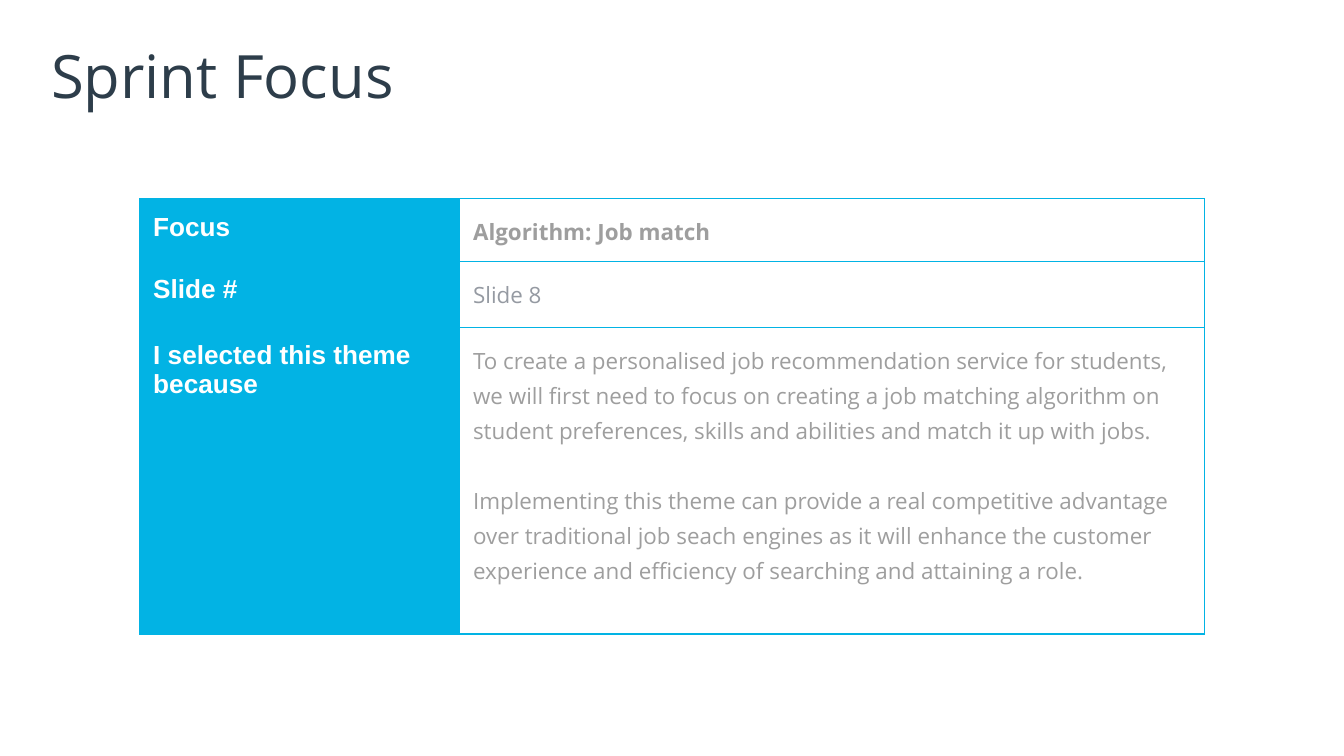
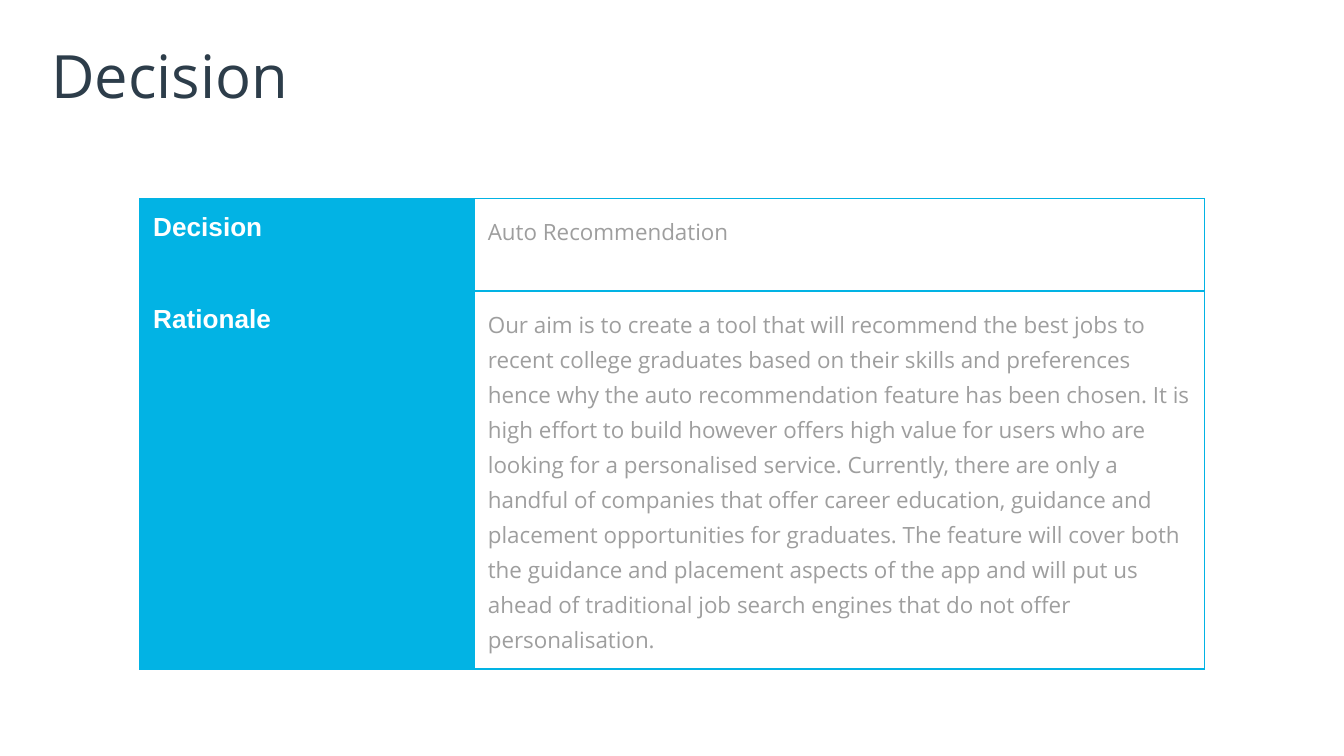
from dataclasses import dataclass

from lxml import etree
from pptx import Presentation
from pptx import util as u
from pptx.dml.color import RGBColor
from pptx.enum import text
from pptx.oxml.ns import qn

COLORS = {"accent": "02B3E4", "title": "2D3D4A", "label": "FFFFFF",
          "body": "9E9E9E", "muted": "959AA2"}
SLIDE_WIDTH, SLIDE_HEIGHT = u.Inches(10), u.Inches(5.625)
TITLE_AREA = (3.4, 4.27, 93.2, 11.2)  # left, top, width, height in percent
TABLE_LEFT, TABLE_TOP, TABLE_WIDTH = 10.4, 26.3, 79.2
CELL_INSET = u.Inches(0.1)
PARAGRAPH_GAP = u.Pt(18.8)
BORDER_WIDTH = u.Pt(0.75)


@dataclass(frozen=True)
class Style:
    font: str
    size: int
    color: str
    bold: bool = False
    spacing: float = 1.0


TITLE = Style("Open Sans", 32, "title")
LABEL = Style("Arial", 14, "label", bold=True)
BODY = Style("Open Sans", 12, "body", spacing=1.15)
STRONG = Style("Open Sans", 12, "body", bold=True, spacing=1.15)
MUTED = Style("Open Sans", 12, "muted", spacing=1.15)


@dataclass(frozen=True)
class Row:
    label: str
    paragraphs: tuple[str, ...]
    height: float  # percent of the slide height
    style: Style = BODY


@dataclass(frozen=True)
class Page:
    title: str
    label_width: float  # percent of the slide width
    rows: tuple[Row, ...]


PAGES = (
    Page("Sprint Focus", 23.8, (
        Row("Focus", ("Algorithm: Job match",), 8.27, STRONG),
        Row("Slide #", ("Slide 8",), 8.71, MUTED),
        Row("I selected this theme because", (
            "To create a personalised job recommendation service for students, "
            "we will first need to focus on creating a job matching algorithm on "
            "student preferences, skills and abilities and match it up with jobs.",
            "Implementing this theme can provide a real competitive advantage "
            "over traditional job seach engines as it will enhance the customer "
            "experience and efficiency of searching and attaining a role.",
        ), 40.6),
    )),
    Page("Decision", 24.9, (
        Row("Decision", ("Auto Recommendation",), 12.2),
        Row("Rationale", (
            "Our aim is to create a tool that will recommend the best jobs to "
            "recent college graduates based on their skills and preferences "
            "hence why the auto recommendation feature has been chosen. It is "
            "high effort to build however offers high value for users who are "
            "looking for a personalised service. Currently, there are only a "
            "handful of companies that offer career education, guidance and "
            "placement opportunities for graduates. The feature will cover both "
            "the guidance and placement aspects of the app and will put us "
            "ahead of traditional job search engines that do not offer "
            "personalisation.",
        ), 50),
    )),
)


def across(percent: float) -> u.Emu:
    return u.Emu(round(SLIDE_WIDTH * percent / 100))


def down(percent: float) -> u.Emu:
    return u.Emu(round(SLIDE_HEIGHT * percent / 100))


def write(frame, paragraphs: tuple[str, ...], style: Style) -> None:
    frame.text = "\n".join(paragraphs)
    frame.word_wrap = True
    for index, para in enumerate(frame.paragraphs):
        para.line_spacing = style.spacing
        if index:
            para.space_before = PARAGRAPH_GAP
        for span in para.runs:
            span.font.name = style.font
            span.font.size = u.Pt(style.size)
            span.font.bold = style.bold
            span.font.color.rgb = RGBColor.from_string(COLORS[style.color])


def add_borders(cell) -> None:
    """Outline all four sides; borders must precede the cell's fill."""
    properties = cell._tc.get_or_add_tcPr()
    for index, side in enumerate(("lnL", "lnR", "lnT", "lnB")):
        line = etree.Element(qn(f"a:{side}"), w=str(int(BORDER_WIDTH)))
        fill = etree.SubElement(line, qn("a:solidFill"))
        etree.SubElement(fill, qn("a:srgbClr"), val=COLORS["accent"])
        properties.insert(index, line)


def fill_cell(cell, paragraphs: tuple[str, ...], style: Style, shaded: bool) -> None:
    cell.margin_left = cell.margin_right = CELL_INSET
    cell.margin_top = cell.margin_bottom = CELL_INSET
    cell.vertical_anchor = text.MSO_ANCHOR.TOP
    if shaded:
        cell.fill.solid()
        cell.fill.fore_color.rgb = RGBColor.from_string(COLORS["accent"])
    else:
        cell.fill.background()
    add_borders(cell)
    write(cell.text_frame, paragraphs, style)


def add_title(slide, title: str) -> None:
    left, top, width, height = TITLE_AREA
    box = slide.shapes.add_textbox(across(left), down(top), across(width), down(height))
    frame = box.text_frame
    frame.margin_left = frame.margin_right = u.Inches(0.04)
    frame.margin_top = frame.margin_bottom = u.Inches(0.04)
    frame.vertical_anchor = text.MSO_ANCHOR.MIDDLE
    write(frame, (title,), TITLE)


def add_label_table(slide, page: Page) -> None:
    height = sum(row.height for row in page.rows)
    table = slide.shapes.add_table(
        len(page.rows), 2, across(TABLE_LEFT), down(TABLE_TOP),
        across(TABLE_WIDTH), down(height)).table
    table.first_row = table.horz_banding = False
    table.columns[0].width = across(page.label_width)
    table.columns[1].width = across(TABLE_WIDTH - page.label_width)
    for index, row in enumerate(page.rows):
        table.rows[index].height = down(row.height)
        fill_cell(table.cell(index, 0), (row.label,), LABEL, shaded=True)
        fill_cell(table.cell(index, 1), row.paragraphs, row.style, shaded=False)


def main() -> None:
    deck = Presentation()
    deck.slide_width, deck.slide_height = SLIDE_WIDTH, SLIDE_HEIGHT
    for page in PAGES:
        slide = deck.slides.add_slide(deck.slide_layouts[6])
        add_title(slide, page.title)
        add_label_table(slide, page)
    deck.save("out.pptx")


if __name__ == "__main__":
    main()
